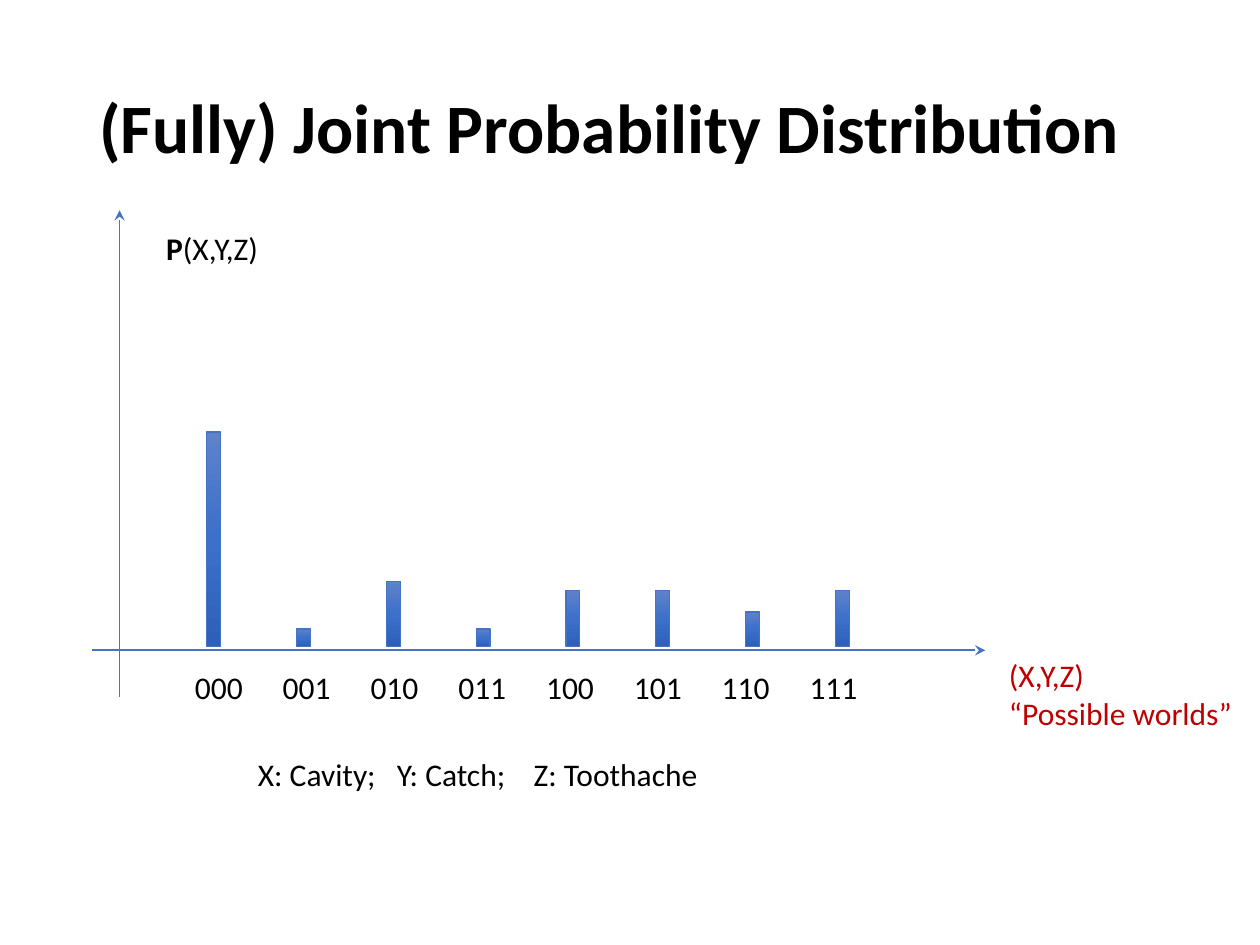
from copy import deepcopy

from lxml.etree import SubElement
from pptx import Presentation
from pptx.dml.color import RGBColor
from pptx.enum.shapes import MSO_CONNECTOR, MSO_SHAPE
from pptx.enum.text import MSO_ANCHOR, MSO_AUTO_SIZE
from pptx.oxml.ns import qn
from pptx.util import Cm, Pt

COLORS = {
    "text": "000000",
    "worlds": "C00000",
    "line": "4472C4",
    "bar_top": "5F82CA",
    "bar_middle": "3C70CA",
    "bar_bottom": "2E60B9",
}
FONT = "Calibri"
BAR_HEIGHTS = [4.32, 0.35, 1.3, 0.35, 1.12, 1.12, 0.69, 1.12]
BAR_LEFT, BAR_STEP, BAR_WIDTH, BAR_BASE = 4.17, 1.81, 0.28, 13.03
LABEL_LEFT, LABEL_STEP, LABEL_TOP = 3.68, 1.77, 13.34
AXIS_X, AXIS_Y = 2.41, 13.11


def rgb(name):
    return RGBColor.from_string(COLORS[name])


def format_run(run, color="text", size=18, bold=False):
    run.font.name = FONT
    run.font.size = Pt(size)
    run.font.bold = bold
    run.font.color.rgb = rgb(color)


def add_text(slide, text, left, top, width, height=1.02, **style):
    shape = slide.shapes.add_textbox(Cm(left), Cm(top), Cm(width), Cm(height))
    text_frame = shape.text_frame
    text_frame.word_wrap = False
    text_frame.auto_size = MSO_AUTO_SIZE.SHAPE_TO_FIT_TEXT
    text_frame.text = text
    for paragraph in text_frame.paragraphs:
        for run in paragraph.runs:
            format_run(run, **style)
    return text_frame


def add_title(slide, text):
    text_frame = add_text(slide, text, 1.75, 1.02, 22.33, 3.23, size=39.6, bold=True)
    text_frame.auto_size = MSO_AUTO_SIZE.NONE
    text_frame.word_wrap = True
    text_frame.vertical_anchor = MSO_ANCHOR.MIDDLE
    text_frame.paragraphs[0].line_spacing = 0.9


def add_axis(slide, start_x, start_y, end_x, end_y):
    axis = slide.shapes.add_connector(
        MSO_CONNECTOR.STRAIGHT, Cm(start_x), Cm(start_y), Cm(end_x), Cm(end_y)
    )
    axis.line.color.rgb = rgb("line")
    axis.line.width = Pt(1)
    SubElement(axis.line._get_or_add_ln(), qn("a:tailEnd"), type="stealth")
    SubElement(axis._element.spPr, qn("a:effectLst"))


def add_bar(slide, left, height):
    bar = slide.shapes.add_shape(
        MSO_SHAPE.RECTANGLE, Cm(left), Cm(BAR_BASE - height), Cm(BAR_WIDTH), Cm(height)
    )
    bar.shadow.inherit = False
    bar.line.color.rgb = rgb("line")
    bar.line.width = Pt(0.75)
    bar.fill.gradient()
    bar.fill.gradient_angle = 270
    stop_list = bar._element.spPr.find(".//" + qn("a:gsLst"))
    stop_list.insert(1, deepcopy(stop_list[0]))
    names = ["bar_top", "bar_middle", "bar_bottom"]
    for index, (stop, name) in enumerate(zip(bar.fill.gradient_stops, names)):
        stop.position = index / 2
        stop.color.rgb = rgb(name)


def set_tab_stops(paragraph, positions):
    tab_list = SubElement(paragraph._p.get_or_add_pPr(), qn("a:tabLst"))
    for position in positions:
        SubElement(tab_list, qn("a:tab"), pos=str(Cm(position)), algn="l")


def main():
    presentation = Presentation()
    presentation.slide_width = Cm(25.4)
    presentation.slide_height = Cm(19.05)
    slide = presentation.slides.add_slide(presentation.slide_layouts[6])

    add_title(slide, "(Fully) Joint Probability Distribution")
    add_axis(slide, 1.85, AXIS_Y, 19.86, AXIS_Y)
    add_axis(slide, AXIS_X, 14.05, AXIS_X, 4.24)

    axis_name = add_text(slide, "P", 3.1, 4.5, 2.51, bold=True)
    arguments = axis_name.paragraphs[0].add_run()
    arguments.text = "(X,Y,Z)"
    format_run(arguments)
    add_text(slide, "(X,Y,Z)\n“Possible worlds”", 20.09, 13.11, 5.08, 1.8, color="worlds")

    for index, height in enumerate(BAR_HEIGHTS):
        add_text(slide, f"{index:03b}", LABEL_LEFT + index * LABEL_STEP, LABEL_TOP, 1.5)
        add_bar(slide, BAR_LEFT + index * BAR_STEP, height)

    legend = add_text(slide, "X: Cavity;\tY: Catch;\tZ: Toothache", 4.95, 15.09, 9.55)
    set_tab_stops(legend.paragraphs[0], [2.8, 5.56])

    presentation.save("out.pptx")


if __name__ == "__main__":
    main()
